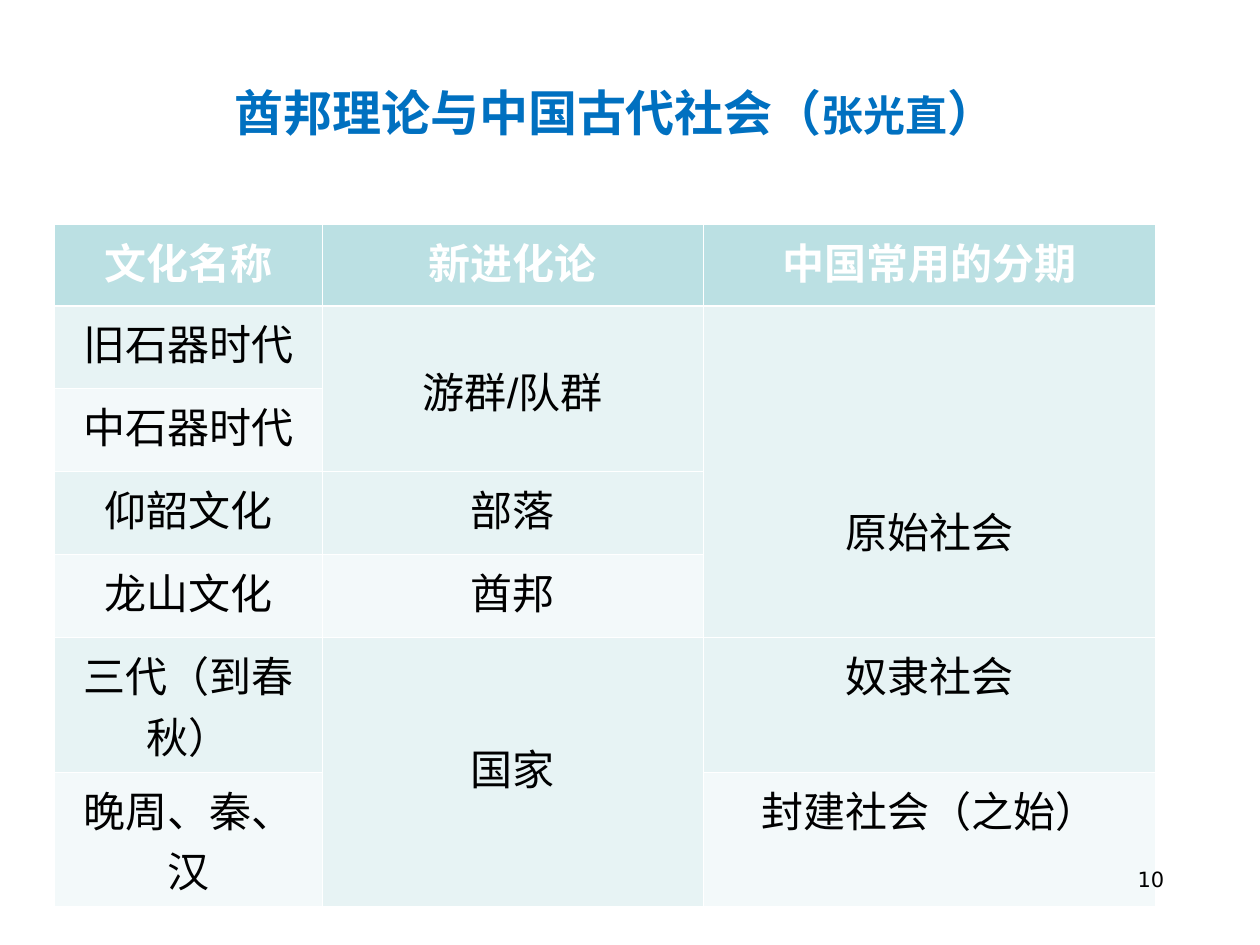
from lxml import etree
from pptx import Presentation
from pptx.dml.color import RGBColor
from pptx.enum.text import MSO_ANCHOR, PP_ALIGN
from pptx.oxml.ns import qn
from pptx.util import Pt

CENTER, RIGHT = PP_ALIGN.CENTER, PP_ALIGN.RIGHT
MIDDLE, TOP = MSO_ANCHOR.MIDDLE, MSO_ANCHOR.TOP
CJK = "Noto Sans CJK SC"
COLORS = {
    "title": "0070C0",
    "text": "000000",
    "white": "FFFFFF",
    "header": "BBE0E3",
    "odd": "E7F3F4",
    "even": "F3F9FA",
}
HEADINGS = ["文化名称", "新进化论", "中国常用的分期"]
PERIODS = [
    ["旧石器时代", "游群/队群", "原始社会"],
    ["中石器时代", "", ""],
    ["仰韶文化", "部落", ""],
    ["龙山文化", "酋邦", ""],
    ["三代（到春秋）", "国家", "奴隶社会"],
    ["晚周、秦、汉", "", "封建社会（之始）"],
]
COLUMN_WIDTHS = [153.2, 217.7, 258.6]
ROW_HEIGHTS = [46.4] + [47.4] * 4 + [76.8] * 2
SPANS = {(1, 1): (2, 30.6), (1, 2): (4, 110.6), (5, 1): (2, 56.6)}


def write_text(frame, *pieces, size=24, font="Arial", color="text",
               bold=False, align=CENTER, anchor=TOP):
    frame.word_wrap = True
    frame.vertical_anchor = anchor
    paragraph = frame.paragraphs[0]
    paragraph.alignment = align
    for piece in pieces:
        words, piece_size = piece if isinstance(piece, tuple) else (piece, size)
        run = paragraph.add_run()
        run.text = words
        run.font.size = Pt(piece_size)
        run.font.bold = bold
        run.font.color.rgb = RGBColor.from_string(COLORS[color])
        run.font.name = font
        east_asian = etree.SubElement(run.font._element, qn("a:ea"))
        east_asian.set("typeface", CJK)


def add_page_number(slide, left, top, width, height):
    number = slide.shapes.add_textbox(Pt(left), Pt(top), Pt(width), Pt(height))
    write_text(number.text_frame, "10", size=12, font="DejaVu Sans", align=RIGHT)


def add_title(slide, left, top, width, height):
    title = slide.shapes.add_textbox(Pt(left), Pt(top), Pt(width), Pt(height))
    write_text(title.text_frame, "酋邦理论与中国古代社会（", ("张光直", 24), "）",
               size=28, font=CJK, color="title", bold=True, anchor=MIDDLE)


def set_borders(cell, **widths):
    properties = cell._tc.get_or_add_tcPr()
    for position, (side, width) in enumerate(widths.items()):
        line = etree.Element(qn("a:ln" + side), w=str(int(Pt(width))))
        fill = etree.SubElement(line, qn("a:solidFill"))
        etree.SubElement(fill, qn("a:srgbClr"), val=COLORS["white"])
        properties.insert(position, line)


def add_period_table(slide, left, top):
    rows = [HEADINGS] + PERIODS
    table = slide.shapes.add_table(
        len(rows), len(HEADINGS), Pt(left), Pt(top),
        Pt(sum(COLUMN_WIDTHS)), Pt(sum(ROW_HEIGHTS))).table
    for column, width in zip(table.columns, COLUMN_WIDTHS):
        column.width = Pt(width)
    for row, height in zip(table.rows, ROW_HEIGHTS):
        row.height = Pt(height)
    for (r, c), (count, inset) in SPANS.items():
        table.cell(r, c).merge(table.cell(r + count - 1, c))
        table.cell(r, c).margin_top = Pt(inset)
    for r, labels in enumerate(rows):
        band = "header" if r == 0 else "odd" if r % 2 else "even"
        for c, label in enumerate(labels):
            cell = table.cell(r, c)
            cell.fill.solid()
            cell.fill.fore_color.rgb = RGBColor.from_string(COLORS[band])
            set_borders(cell, L=0.45, R=0.45,
                        T=1.47 if r == 1 else 0.45,
                        B=1.47 if r == 0 else 0.45)
            if label:
                write_text(cell.text_frame, label, bold=r == 0,
                           color="white" if r == 0 else "text")


def main():
    presentation = Presentation()
    presentation.slide_width, presentation.slide_height = Pt(720), Pt(540)
    slide = presentation.slides.add_slide(presentation.slide_layouts[6])
    add_title(slide, 31, 10.8, 641.5, 105.8)
    add_period_table(slide, 31, 128.4)
    add_page_number(slide, 516.2, 491.8, 156.2, 37.4)
    presentation.save("out.pptx")


if __name__ == "__main__":
    main()
